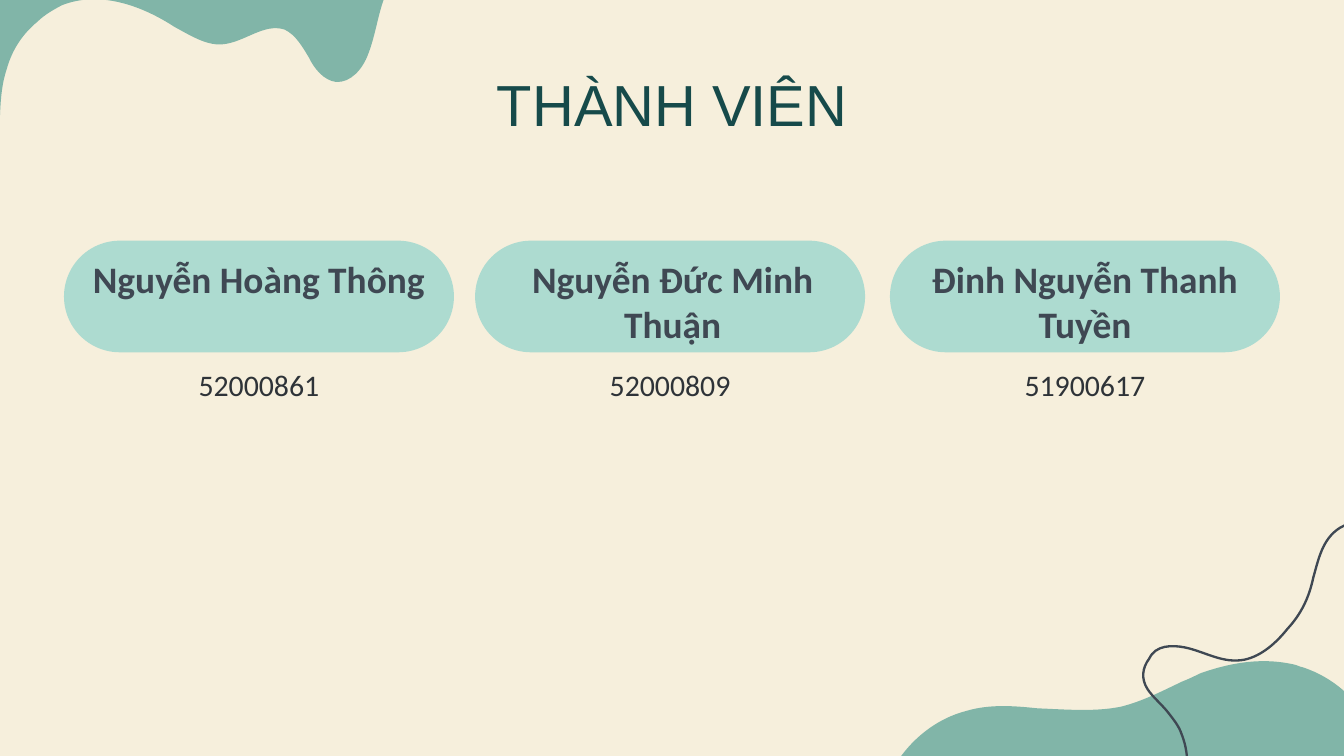
from dataclasses import dataclass

from lxml.etree import SubElement
from pptx import Presentation
from pptx.dml.color import RGBColor
from pptx.enum.shapes import MSO_SHAPE
from pptx.enum.text import MSO_ANCHOR, PP_ALIGN
from pptx.oxml.ns import qn
from pptx.shapes.autoshape import Shape
from pptx.slide import Slide
from pptx.util import Cm, Pt

COLORS = {
    "background": "F6EFDC",
    "blob": "81B5A8",
    "pill": "ADDBD0",
    "name": "3F4853",
    "number": "2E3338",
    "title": "164A4A",
}
PILL_TOP, PILL_WIDTH, PILL_HEIGHT = 4.55, 7.37, 2.11
TEXT_WIDTH = 6.43

Point = tuple[float, float]


@dataclass(frozen=True)
class Member:
    name: str
    number: str
    left: float
    name_shift: float = 0


@dataclass(frozen=True)
class TextStyle:
    font: str
    size: float
    color: str
    bold: bool = False


@dataclass(frozen=True)
class Outline:
    """Cubic curves in cm: two control points and an end point each, then straight corners."""
    start: Point
    curves: list[tuple[float, ...]]
    corners: tuple[Point, ...] = ()


MEMBERS = [
    Member("Nguyễn Hoàng Thông", "52000861", 1.21),
    Member("Nguyễn Đức Minh Thuận", "52000809", 8.98, name_shift=0.05),
    Member("Đinh Nguyễn Thanh Tuyền", "51900617", 16.82),
]
TITLE_STYLE = TextStyle("Arial", 31, "title")
NAME_STYLE = TextStyle("Calibri", 20, "name", bold=True)
NUMBER_STYLE = TextStyle("Calibri", 16, "number")

TOP_BLOB = Outline((-0.05, 3), [
    (0.03, 2.44, -0.05, 1.83, 0.13, 1.3),
    (0.23, 0.94, 0.43, 0.64, 0.71, 0.41),
    (0.84, 0.28, 1.02, 0.18, 1.17, 0.1),
    (1.88, -0.18, 2.67, 0.1, 3.3, 0.51),
    (3.58, 0.66, 3.89, 0.86, 4.19, 0.84),
    (4.62, 0.81, 4.98, 0.43, 5.38, 0.56),
    (5.59, 0.66, 5.72, 0.89, 5.84, 1.09),
    (5.94, 1.3, 6.12, 1.52, 6.35, 1.55),
    (6.63, 1.57, 6.86, 1.3, 6.96, 1.02),
    (7.09, 0.69, 7.14, 0.3, 7.26, -0.03),
], corners=((-0.05, -0.03),))
BOTTOM_BLOB = Outline((26.04, 14.76), [
    (26.04, 14.38, 26.01, 14, 25.86, 13.67),
    (25.63, 13.18, 25.17, 12.8, 24.64, 12.62),
    (24.59, 12.6, 24.54, 12.6, 24.49, 12.57),
    (23.88, 12.42, 23.27, 12.52, 22.68, 12.73),
    (22.58, 12.78, 22.48, 12.83, 22.35, 12.88),
    (21.97, 13.06, 21.59, 13.26, 21.18, 13.36),
    (20.68, 13.46, 20.14, 13.41, 19.61, 13.39),
    (19.15, 13.34, 18.69, 13.31, 18.26, 13.44),
    (17.6, 13.61, 17.04, 14.12, 16.76, 14.76),
])
WAVY_LINE = Outline((22.36, 14.83), [
    (22.48, 14.53, 22.45, 14.17, 22.33, 13.87),
    (22.28, 13.72, 22.17, 13.59, 22.07, 13.46),
    (21.95, 13.31, 21.79, 13.18, 21.69, 13.03),
    (21.56, 12.83, 21.59, 12.62, 21.72, 12.45),
    (21.84, 12.19, 22.15, 12.19, 22.4, 12.24),
    (22.78, 12.32, 23.11, 12.55, 23.52, 12.47),
    (23.85, 12.4, 24.13, 12.14, 24.33, 11.89),
    (24.59, 11.61, 24.74, 11.3, 24.82, 10.92),
    (24.92, 10.57, 24.99, 10.19, 25.32, 9.98),
    (25.73, 9.73, 26.26, 9.96, 26.62, 10.16),
    (26.7, 10.19, 26.75, 10.24, 26.8, 10.26),
])


def rgb(name: str) -> RGBColor:
    return RGBColor.from_string(COLORS[name])


def fill_shape(shape: Shape, color: str) -> None:
    shape.shadow.inherit = False
    shape.fill.solid()
    shape.fill.fore_color.rgb = rgb(color)
    shape.line.fill.background()


def add_outline(slide: Slide, outline: Outline, close: bool) -> Shape:
    """Build the outline from its end points, then bend the segments into cubic curves."""
    ends = [curve[4:] for curve in outline.curves]
    first, *rest = [(Cm(x), Cm(y)) for x, y in [outline.start, *ends, *outline.corners]]
    builder = slide.shapes.build_freeform(*first)
    builder.add_line_segments(rest, close=close)
    shape = builder.convert_to_shape()
    segments = list(shape.element.iter(qn("a:lnTo")))
    for segment, (x1, y1, x2, y2, _, _) in zip(segments, outline.curves):
        bezier = segment.getparent().makeelement(qn("a:cubicBezTo"))
        for x, y in ((x1, y1), (x2, y2)):
            SubElement(bezier, qn("a:pt"), x=str(Cm(x) - shape.left), y=str(Cm(y) - shape.top))
        bezier.append(segment[0])
        segment.getparent().replace(segment, bezier)
    return shape


def add_wavy_line(slide: Slide) -> None:
    shape = add_outline(slide, WAVY_LINE, close=False)
    shape.shadow.inherit = False
    shape.fill.background()
    shape.line.color.rgb = rgb("name")
    shape.line.width = Pt(1.25)


def add_text(slide: Slide, text: str, left: float, top: float,
             width: float, height: float, style: TextStyle) -> None:
    text_frame = slide.shapes.add_textbox(Cm(left), Cm(top), Cm(width), Cm(height)).text_frame
    text_frame.word_wrap = True
    text_frame.vertical_anchor = MSO_ANCHOR.TOP
    text_frame.margin_left = text_frame.margin_right = 0
    text_frame.margin_top = text_frame.margin_bottom = 0
    text_frame.text = text
    paragraph = text_frame.paragraphs[0]
    paragraph.alignment = PP_ALIGN.CENTER
    font = paragraph.runs[0].font
    font.name = style.font
    font.size = Pt(style.size)
    font.bold = style.bold
    font.color.rgb = rgb(style.color)


def add_pill(slide: Slide, left: float) -> None:
    shape = slide.shapes.add_shape(MSO_SHAPE.ROUNDED_RECTANGLE, Cm(left), Cm(PILL_TOP),
                                   Cm(PILL_WIDTH), Cm(PILL_HEIGHT))
    shape.adjustments[0] = 0.5
    fill_shape(shape, "pill")


def add_member_text(slide: Slide, member: Member) -> None:
    left = member.left + (PILL_WIDTH - TEXT_WIDTH) / 2
    add_text(slide, member.name, left + member.name_shift, 4.84, TEXT_WIDTH, 0.76, NAME_STYLE)
    add_text(slide, member.number, left, 6.93, TEXT_WIDTH, 2.21, NUMBER_STYLE)


def main() -> None:
    presentation = Presentation()
    presentation.slide_width, presentation.slide_height = Cm(25.4), Cm(14.29)
    slide = presentation.slides.add_slide(presentation.slide_layouts[6])
    slide.background.fill.solid()
    slide.background.fill.fore_color.rgb = rgb("background")
    for blob in (TOP_BLOB, BOTTOM_BLOB):
        fill_shape(add_outline(slide, blob, close=True), "blob")
    add_wavy_line(slide)
    for member in MEMBERS:
        add_pill(slide, member.left)
    for member in MEMBERS:
        add_member_text(slide, member)
    add_text(slide, "THÀNH VIÊN", 1.98, 1.3, 21.44, 1.27, TITLE_STYLE)
    presentation.save("out.pptx")


if __name__ == "__main__":
    main()
